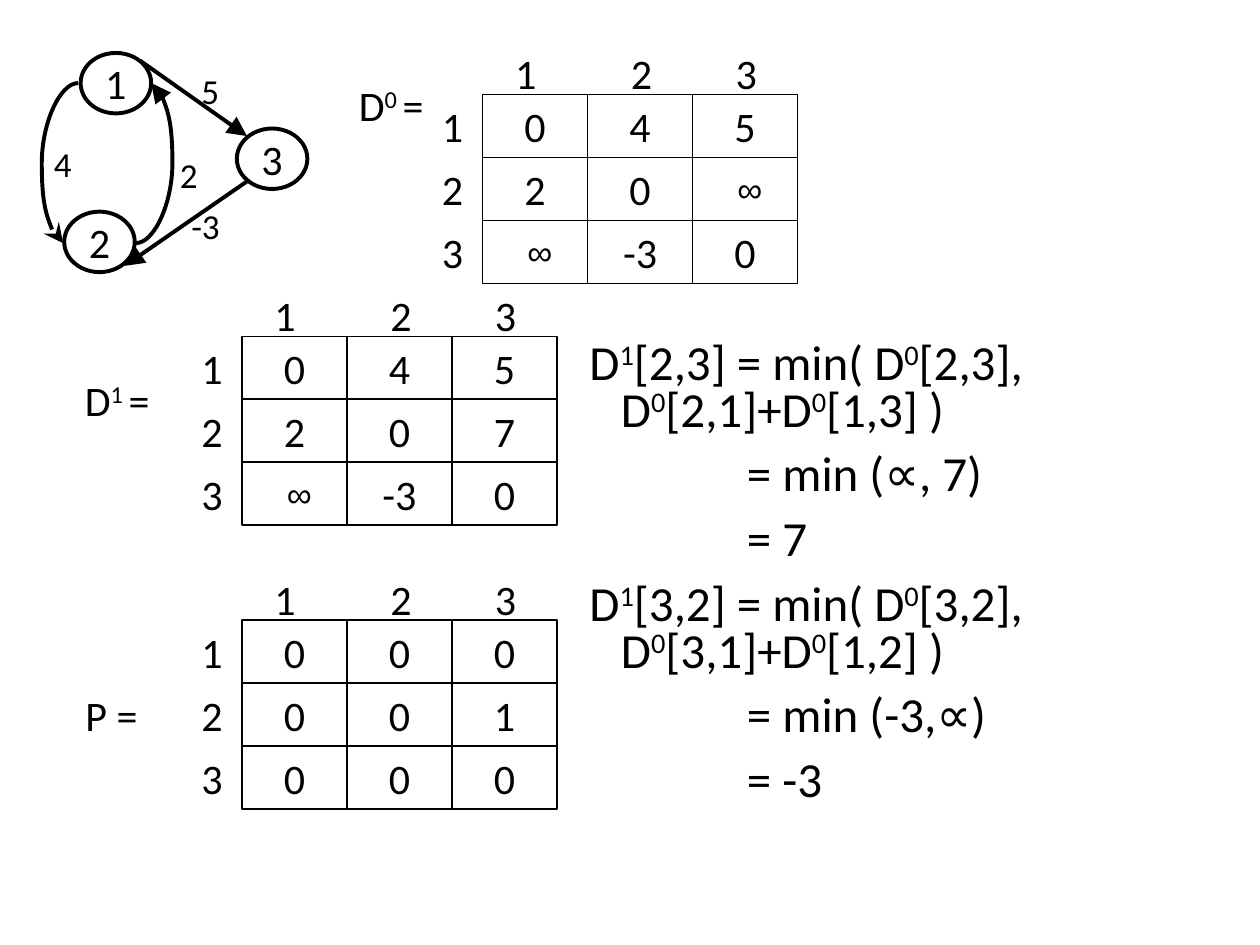
from lxml.etree import SubElement
from pptx import Presentation
from pptx.dml.color import RGBColor
from pptx.enum.shapes import MSO_CONNECTOR, MSO_SHAPE
from pptx.enum.text import MSO_ANCHOR, PP_ALIGN
from pptx.oxml.ns import qn
from pptx.util import Inches, Pt

BLACK = RGBColor(0, 0, 0)
INFINITY = " ∞"
CELL_WIDTH = 2.5 / 3
CELL_HEIGHT = 0.5

MATRICES = [
    (1.92, 2.67, [["0", "4", "5"], ["2", "0", "7"], [INFINITY, "-3", "0"]]),
    (1.92, 4.92, [["0", "0", "0"], ["0", "0", "1"], ["0", "0", "0"]]),
    (3.83, 0.75, [["0", "4", "5"], ["2", "0", INFINITY], [INFINITY, "-3", "0"]]),
]
MATRIX_NAMES = [
    (" D^1^ =", 0.5, 2.92, 0.88),
    ("P =", 0.58, 5.42, 0.66),
    ("D^0^ =", 2.75, 0.58, 0.8),
]
NODES = [("1", 0.64, 0.42), ("2", 0.51, 1.68), ("3", 1.88, 1.02)]
STRAIGHT_EDGES = [((1.11, 0.48), (1.96, 1.08)), ((1.96, 1.44), (0.99, 2.11))]
CURVED_EDGES = [
    ((0.5, 1.93), (0.62, 0.66), "headEnd", "stealth", -140600),
    ((1.08, 1.93), (1.2, 0.66), "tailEnd", "triangle", 240600),
]
WEIGHTS = [
    ("5", 1.5, 0.5, 0.34),
    ("-3", 1.42, 1.57, 0.43),
    ("2", 1.33, 1.17, 0.34),
    ("4", 0.33, 1.08, 0.34),
]
STEPS = [
    "D^1[2,3] = min( D^0[2,3], D^0[2,1]+D^0[1,3] )",
    "\t\t= min (∝, 7)",
    "\t\t= 7",
    "D^1[3,2] = min( D^0[3,2], D^0[3,1]+D^0[1,2] )",
    "\t\t= min (-3,∝)",
    "\t\t= -3",
]


def add_run(paragraph, text, size, font_name="Calibri", raised=False):
    run = paragraph.add_run()
    run.text = text
    run.font.size = Pt(size)
    run.font.name = font_name
    run.font.color.rgb = BLACK
    if raised:
        run.font._element.set("baseline", "30000")


def write_formula(paragraph, text, size):
    start, *powers = text.split("^")
    add_run(paragraph, start, size)
    for part in powers:
        add_run(paragraph, part[0], size, raised=True)
        if part[1:]:
            add_run(paragraph, part[1:], size)


def add_label(slide, text, left, top, width, height=0.5, size=24):
    box = slide.shapes.add_textbox(Inches(left), Inches(top), Inches(width), Inches(height))
    box.text_frame.word_wrap = False
    write_formula(box.text_frame.paragraphs[0], text, size)


def add_outlined_shape(slide, kind, text, left, top, width, height, line_width):
    shape = slide.shapes.add_shape(
        kind, Inches(left), Inches(top), Inches(width), Inches(height))
    shape.shadow.inherit = False
    shape.fill.background()
    shape.line.color.rgb = BLACK
    shape.line.width = Pt(line_width)
    shape.text_frame.word_wrap = False
    shape.text_frame.vertical_anchor = MSO_ANCHOR.MIDDLE
    paragraph = shape.text_frame.paragraphs[0]
    paragraph.alignment = PP_ALIGN.CENTER
    if text == INFINITY:
        add_run(paragraph, text, 20, "Arial")
    else:
        add_run(paragraph, text, 24)


def add_matrix(slide, left, top, rows):
    for row_index, row in enumerate(rows):
        for column_index, value in enumerate(row):
            add_outlined_shape(
                slide, MSO_SHAPE.RECTANGLE, value,
                left + column_index * CELL_WIDTH, top + row_index * CELL_HEIGHT,
                CELL_WIDTH, CELL_HEIGHT, 1)
    for index, offset in enumerate((0.16, 1.08, 1.91)):
        number = str(index + 1)
        add_label(slide, number, left + offset, top - 0.42, 0.37)
        add_label(slide, number, left - 0.42, top + index * CELL_HEIGHT, 0.37)


def add_edge(slide, start, end, arrow_end="tailEnd", arrow="triangle", bend=None):
    kind = MSO_CONNECTOR.STRAIGHT if bend is None else MSO_CONNECTOR.CURVE
    connector = slide.shapes.add_connector(
        kind, *(Inches(value) for value in (*start, *end)))
    connector.line.color.rgb = BLACK
    connector.line.width = Pt(2.25)
    line = connector.line._get_or_add_ln()
    SubElement(line, qn("a:" + arrow_end), type=arrow, w="lg", len="lg")
    properties = connector._element.spPr
    SubElement(properties, qn("a:effectLst"))
    if bend is not None:
        adjustments = properties.find(qn("a:prstGeom")).find(qn("a:avLst"))
        SubElement(adjustments, qn("a:gd"), name="adj1", fmla=f"val {bend}")


def add_steps(slide):
    box = slide.shapes.add_textbox(Inches(4.58), Inches(2.67), Inches(5.58), Inches(4))
    frame = box.text_frame
    frame.word_wrap = True
    for index, text in enumerate(STEPS):
        paragraph = frame.add_paragraph() if index else frame.paragraphs[0]
        paragraph.line_spacing = 0.8
        if index:
            paragraph.space_before = Pt(10)
        properties = paragraph._p.get_or_add_pPr()
        properties.set("marL", str(Inches(0.25)))
        properties.set("indent", str(Inches(-0.25)))
        properties.set("defTabSz", str(Inches(1)))
        write_formula(paragraph, text, 28)


def main():
    presentation = Presentation()
    presentation.slide_width = Inches(10)
    presentation.slide_height = Inches(7.5)
    slide = presentation.slides.add_slide(presentation.slide_layouts[6])
    add_steps(slide)
    for matrix in MATRICES:
        add_matrix(slide, *matrix)
    for name in MATRIX_NAMES:
        add_label(slide, *name)
    for node in NODES:
        add_outlined_shape(slide, MSO_SHAPE.OVAL, *node, 0.56, 0.48, 2.25)
    for edge in STRAIGHT_EDGES + CURVED_EDGES:
        add_edge(slide, *edge)
    for weight in WEIGHTS:
        add_label(slide, *weight, height=0.43, size=20)
    presentation.save("out.pptx")


if __name__ == "__main__":
    main()
